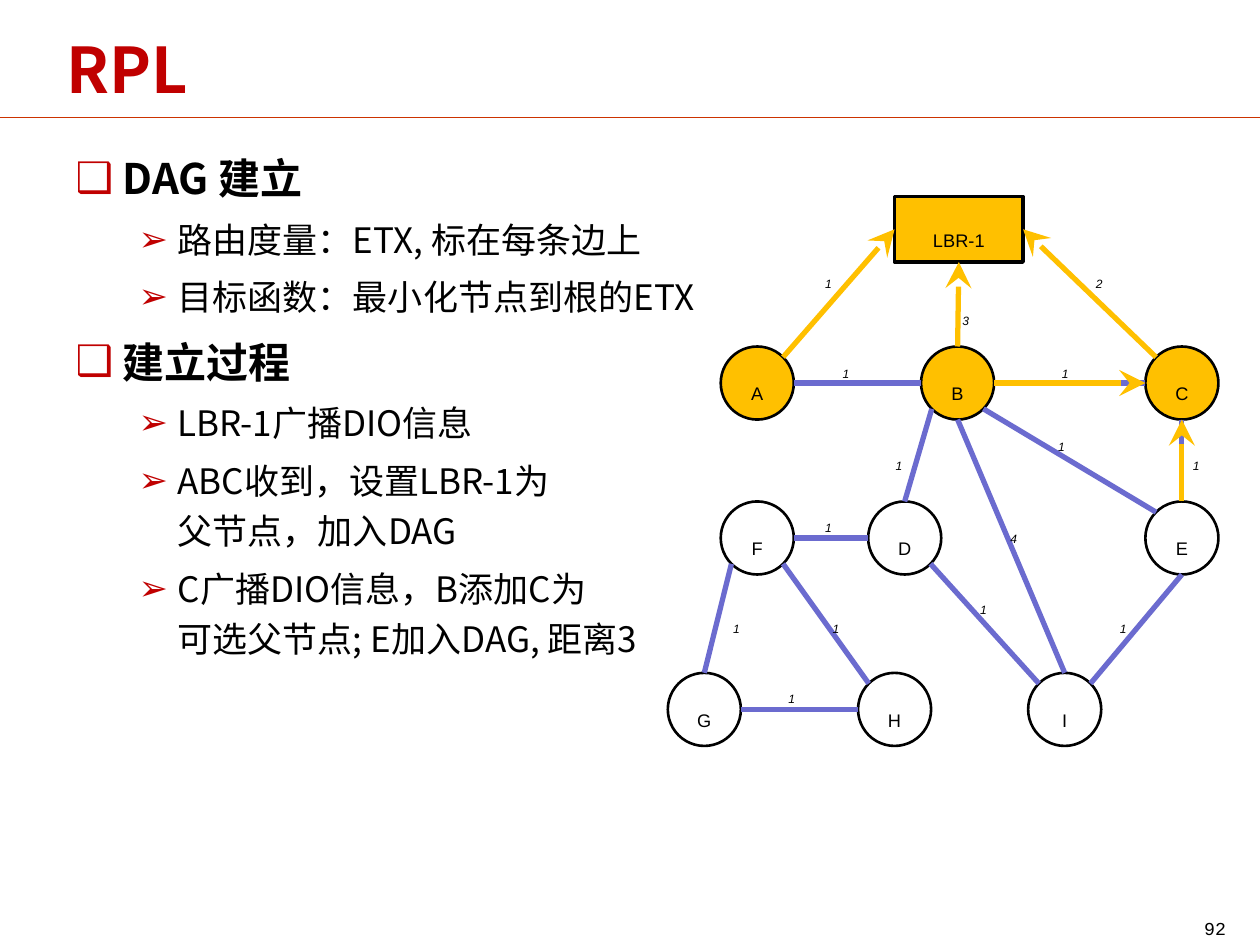
from math import cos, radians, sin

from lxml.etree import SubElement
from pptx import Presentation
from pptx.dml.color import RGBColor
from pptx.enum.shapes import MSO_CONNECTOR as CONNECTOR, MSO_SHAPE as SHAPE
from pptx.enum.text import MSO_ANCHOR as ANCHOR, MSO_AUTO_SIZE as FIT, PP_ALIGN as ALIGN
from pptx.oxml.ns import qn
from pptx.util import Inches, Pt

RED, BLACK, WHITE, AMBER, BLUE = "C00000", "000000", "FFFFFF", "FFC000", "6B6BCF"
CJK = "Noto Sans CJK SC"
TITLE = {"size": Pt(36), "name": CJK, "bold": True}
LEVELS = [
    {"bullet": "❑", "margin": 0.375, "indent": -0.375, "before": 4.8,
     "font": {"size": Pt(24), "name": CJK, "bold": True}},
    {"bullet": "➢", "margin": 0.81, "indent": -0.31, "before": 4,
     "font": {"size": Pt(20), "name": CJK, "bold": False}},
]
NODE_FONT = {"size": Pt(18), "name": "Arial"}
COST_FONT = {"size": Pt(12), "name": "Arial", "italic": True}
PAGE_FONT = {"size": Pt(18), "name": "Courier New"}

OUTLINE = [
    (0, "DAG 建立"),
    (1, "路由度量：ETX, 标在每条边上"),
    (1, "目标函数：最小化节点到根的ETX"),
    (0, "建立过程"),
    (1, "LBR-1广播DIO信息"),
    (1, "ABC收到，设置LBR-1为\v父节点，加入DAG"),
    (1, "C广播DIO信息，B添加C为\v可选父节点; E加入DAG, 距离3"),
]

RADIUS = 0.29
NODES = {
    "A": (6.01, 3.04), "B": (7.6, 3.04), "C": (9.38, 3.04),
    "F": (6.01, 4.27), "D": (7.18, 4.27), "E": (9.38, 4.27),
    "G": (5.59, 5.63), "H": (7.1, 5.63), "I": (8.45, 5.63),
}
JOINED = "ABC"
ANGLES = {"e": 0, "se": 45, "s": 90, "sw": 135, "w": 180, "nw": 225, "n": 270, "ne": 315}
LINKS = ["B.e C.w", "E.s I.ne", "C.s E.n", "B.se E.nw", "A.e B.w", "F.sw G.n",
         "F.se H.nw", "I.n B.s", "D.se I.nw", "B.sw D.n", "D.w F.e", "G.e H.w"]
PARENT_LINKS = ["C.w B.e", "C.s E.n"]
ROOT_LINKS = {1: "A.ne", 2: "B.n", 3: "C.nw"}
COSTS = [
    ("1", 6.45, 2.03), ("3", 7.54, 2.33), ("2", 8.6, 2.03), ("1", 8.3, 3.33),
    ("1", 9.37, 3.48), ("1", 8.33, 2.75), ("1", 6.59, 2.75), ("1", 5.72, 4.77),
    ("4", 7.92, 4.06), ("1", 7.01, 3.48), ("1", 6.45, 3.97), ("1", 6.51, 4.77),
    ("1", 8.79, 4.77), ("1", 7.68, 4.62), ("1", 6.16, 5.33),
]


def rgb(value):
    """Turn a hex string into a colour."""
    return RGBColor.from_string(value)


def style(paragraph, formats, color=BLACK, lowered=False):
    """Format every run of a paragraph."""
    for run in paragraph.runs:
        for key, value in formats.items():
            setattr(run.font, key, value)
        run.font.color.rgb = rgb(color)
        properties = run._r.get_or_add_rPr()
        SubElement(properties, qn("a:ea")).set("typeface", formats["name"])
        if lowered:
            properties.set("baseline", "-25000")


def place(element, left, top, width, height):
    """Move and size a placeholder."""
    box = {"left": left, "top": top, "width": width, "height": height}
    for key, value in box.items():
        setattr(element, key, Inches(value))
    element.text_frame.auto_size = FIT.NONE


def add_title(slide):
    """Fill the title placeholder."""
    title = slide.shapes.title
    place(title, 0.43, 0.04, 9.01, 1)
    title.text_frame.vertical_anchor = ANCHOR.MIDDLE
    heading = title.text_frame.paragraphs[0]
    heading.text = "RPL"
    heading.alignment = ALIGN.LEFT
    style(heading, TITLE, RED)


def add_outline(slide):
    """Fill the body placeholder with the two-level list."""
    body = slide.placeholders[1]
    place(body, 0.5, 1.08, 9.08, 5.92)
    frame = body.text_frame
    frame.margin_top = Inches(0.05)
    for index, (level, wording) in enumerate(OUTLINE):
        item = frame.add_paragraph() if index else frame.paragraphs[0]
        look = LEVELS[level]
        item.text, item.level, item.line_spacing = wording, level, 1.2
        item.space_before = Pt(look["before"] if index else 0)
        properties = item._p.get_or_add_pPr()
        properties.set("marL", str(Inches(look["margin"])))
        properties.set("indent", str(Inches(look["indent"])))
        bullet_color = SubElement(properties, qn("a:buClr"))
        SubElement(bullet_color, qn("a:srgbClr")).set("val", RED)
        SubElement(properties, qn("a:buChar")).set("char", look["bullet"])
        style(item, look["font"])


def add_node(slide, kind, name, box, fill, border):
    """Draw a network node with its name."""
    node = slide.shapes.add_shape(kind, *map(Inches, box))
    node.shadow.inherit = False
    node.fill.solid()
    node.fill.fore_color.rgb = rgb(fill)
    node.line.color.rgb = rgb(BLACK)
    node.line.width = Pt(border)
    node.text_frame.vertical_anchor = ANCHOR.MIDDLE
    caption = node.text_frame.paragraphs[0]
    caption.text = name
    caption.alignment = ALIGN.CENTER
    style(caption, NODE_FONT, lowered=True)
    return node


def rim(port):
    """Find the point on a circle's rim for a port such as A.ne."""
    name, side = port.split(".")
    x, y = NODES[name]
    angle = radians(ANGLES[side])
    return x + RADIUS * cos(angle), y + RADIUS * sin(angle)


def add_line(slide, start, end, color, width=3, arrow=False):
    """Draw a straight line, with an arrowhead at its start if asked."""
    line = slide.shapes.add_connector(CONNECTOR.STRAIGHT, *map(Inches, (*start, *end)))
    line.line.color.rgb = rgb(color)
    line.line.width = Pt(width)
    SubElement(line._element.spPr, qn("a:effectLst"))
    if arrow:
        head = SubElement(line.line._get_or_add_ln(), qn("a:headEnd"))
        for key, value in {"type": "stealth", "w": "lg", "len": "lg"}.items():
            head.set(key, value)
    return line


def add_label(slide, wording, box, formats, alignment=ALIGN.LEFT, anchor=ANCHOR.TOP):
    """Write a small lowered label."""
    frame = slide.shapes.add_textbox(*map(Inches, box)).text_frame
    frame.word_wrap = True
    frame.vertical_anchor = anchor
    label = frame.paragraphs[0]
    label.text = wording
    label.alignment = alignment
    style(label, formats, lowered=True)


def add_network(slide):
    """Draw the nodes, links, parent arrows and link costs."""
    root = add_node(slide, SHAPE.RECTANGLE, "LBR-1", (7.1, 1.56, 1.02, 0.52), AMBER, 2)
    for name, (x, y) in NODES.items():
        box = (x - RADIUS, y - RADIUS, 2 * RADIUS, 2 * RADIUS)
        add_node(slide, SHAPE.OVAL, name, box, AMBER if name in JOINED else WHITE, 1.5)
    for links, color, arrow in ((LINKS, BLUE, False), (PARENT_LINKS, AMBER, True)):
        for link in links:
            start, end = map(rim, link.split())
            add_line(slide, start, end, color, arrow=arrow)
    for side, port in ROOT_LINKS.items():
        route = add_line(slide, (7.61, 1.82), rim(port), AMBER, arrow=True)
        route.begin_connect(root, side)
    for cost, left, top in COSTS:
        add_label(slide, cost, (left, top, 0.3, 0.3), COST_FONT)


def main():
    """Build and save the slide."""
    deck = Presentation()
    deck.slide_width, deck.slide_height = Inches(10), Inches(7.5)
    slide = deck.slides.add_slide(deck.slide_layouts[1])
    add_line(slide, (0, 0.93), (10, 0.93), "CC3300", 0.25)
    add_title(slide)
    add_outline(slide)
    add_network(slide)
    add_label(slide, "92", (9, 7.16, 0.83, 0.25), PAGE_FONT, ALIGN.RIGHT, ANCHOR.MIDDLE)
    deck.save("out.pptx")


if __name__ == "__main__":
    main()
